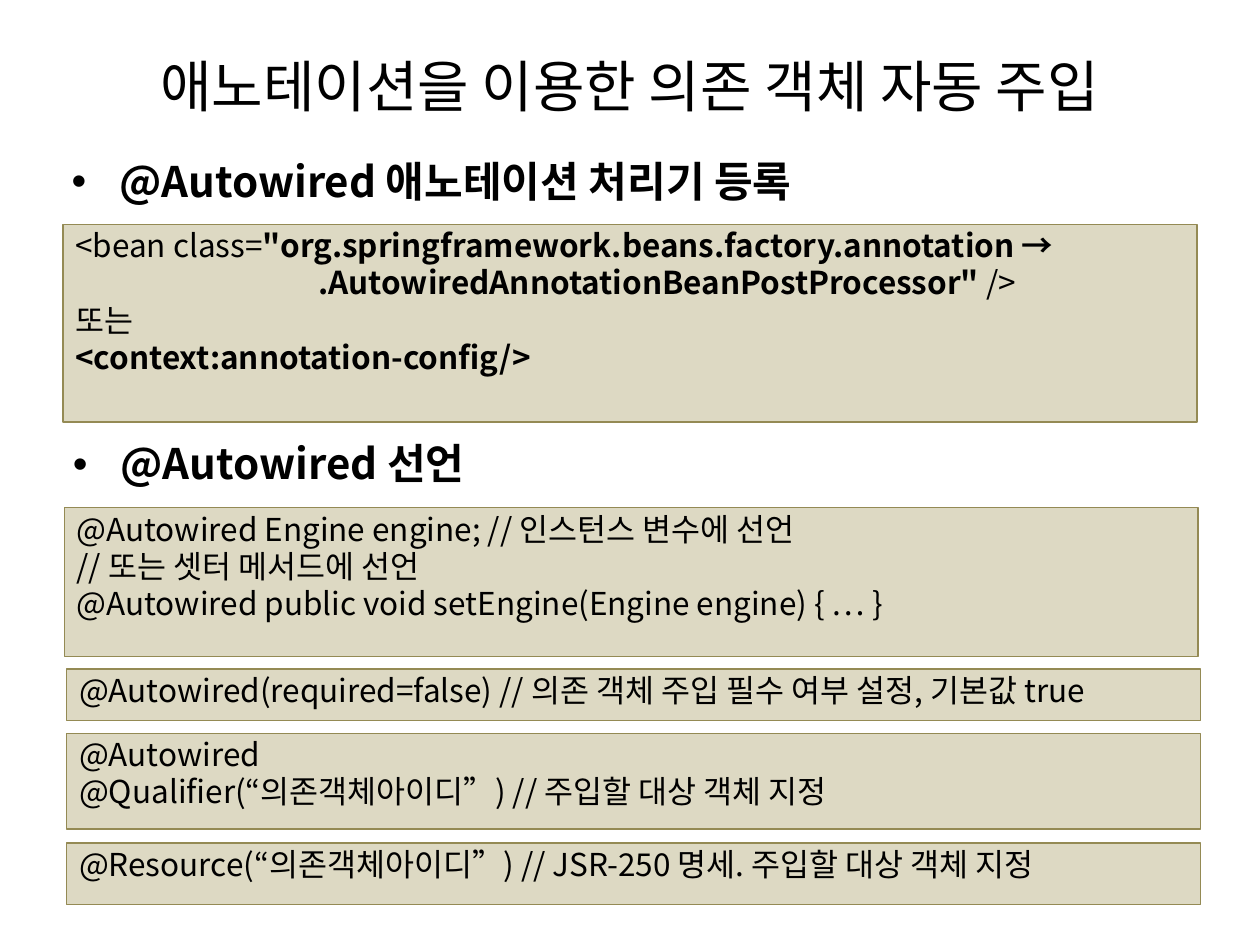
from dataclasses import dataclass

from lxml.etree import SubElement
from pptx import Presentation
from pptx.dml.color import RGBColor
from pptx.enum.shapes import MSO_SHAPE
from pptx.enum.text import MSO_ANCHOR, MSO_AUTO_SIZE, PP_ALIGN
from pptx.oxml.ns import qn
from pptx.util import Inches, Pt


@dataclass(frozen=True)
class Theme:
    """Colours, font and type sizes of the slide."""
    font: str = "Noto Sans CJK KR"
    text: str = "000000"
    fill: str = "DDD9C3"
    line: str = "948A54"
    title: int = 32
    heading: int = 24
    code: int = 18


THEME = Theme()
WIDTH = 9
HEADING_HEIGHT = 0.55

TITLE = "애노테이션을 이용한 의존 객체 자동 주입"

# (left, top, text)
HEADINGS = [
    (0.47, 1.23, "@Autowired 애노테이션 처리기 등록"),
    (0.48, 3.47, "@Autowired 선언"),
]

# (left, top, height, lines); a line is (indent, runs), a run is (text, bold)
CODE_BOXES = [
    (0.5, 1.78, 1.57, [
        (0, [("<bean class=", False),
             ('"org.springframework.beans.factory.annotation →', True)]),
        (1.93, [('.AutowiredAnnotationBeanPostProcessor"', True),
                (" />", False)]),
        (0, [("또는", False)]),
        (0, [("<context:annotation-config/>", True)]),
    ]),
    (0.51, 4.03, 1.18, [
        (0, [("@Autowired Engine engine; // 인스턴스 변수에 선언", False)]),
        (0, [("// 또는 셋터 메서드에 선언", False)]),
        (0, [("@Autowired public void setEngine(Engine engine) { … }", False)]),
    ]),
    (0.53, 5.31, 0.41, [
        (0, [("@Autowired(required=false) // 의존 객체 주입 필수 여부 설정, "
              "기본값 true", False)]),
    ]),
    (0.53, 5.82, 0.76, [
        (0, [("@Autowired", False)]),
        (0, [("@Qualifier(“의존객체아이디”) // 주입할 대상 객체 지정", False)]),
    ]),
    (0.53, 6.69, 0.49, [
        (0, [("@Resource(“의존객체아이디”) // JSR-250 명세. "
              "주입할 대상 객체 지정", False)]),
    ]),
]


def add_run(p, text, size, bold=False):
    """Add one run in the theme font, for Latin and Korean alike."""
    r = p.add_run()
    r.text = text
    r.font.size = Pt(size)
    r.font.bold = bold
    r.font.name = THEME.font
    r.font.color.rgb = RGBColor.from_string(THEME.text)
    SubElement(r.font._element, qn("a:ea"), typeface=THEME.font)


def space_lines(p, size):
    """Set tight lines with a small gap before the paragraph."""
    p.alignment = PP_ALIGN.LEFT
    p.line_spacing = 0.9
    p.space_before = Pt(size * 0.1)


def set_indent(p, left, first=0):
    """Set the left margin and first-line indent in inches."""
    pPr = p._p.get_or_add_pPr()
    pPr.set("marL", str(Inches(left)))
    pPr.set("indent", str(Inches(first)))
    return pPr


def add_title(s):
    """Place and fill the title placeholder."""
    sp = s.shapes.title
    sp.left, sp.top = Inches(0.5), Inches(0.05)
    sp.width, sp.height = Inches(WIDTH), Inches(1.25)
    tf = sp.text_frame
    tf.auto_size = MSO_AUTO_SIZE.NONE
    tf.vertical_anchor = MSO_ANCHOR.MIDDLE
    p = tf.paragraphs[0]
    p.alignment = PP_ALIGN.CENTER
    add_run(p, TITLE, THEME.title)


def add_heading(s, left, top, text):
    """Add a bulleted bold heading."""
    sp = s.shapes.add_textbox(Inches(left), Inches(top),
                              Inches(WIDTH), Inches(HEADING_HEIGHT))
    tf = sp.text_frame
    tf.word_wrap = True
    p = tf.paragraphs[0]
    space_lines(p, THEME.heading)
    pPr = set_indent(p, 0.38, -0.38)
    SubElement(pPr, qn("a:buFont"), typeface="Arial")
    SubElement(pPr, qn("a:buChar"), char="•")
    add_run(p, text, THEME.heading, True)


def add_code_box(s, left, top, height, lines):
    """Add a filled box holding lines of code."""
    sp = s.shapes.add_shape(MSO_SHAPE.RECTANGLE, Inches(left), Inches(top),
                            Inches(WIDTH), Inches(height))
    sp.shadow.inherit = False
    sp.fill.solid()
    sp.fill.fore_color.rgb = RGBColor.from_string(THEME.fill)
    sp.line.color.rgb = RGBColor.from_string(THEME.line)
    sp.line.width = Pt(0.75)
    tf = sp.text_frame
    tf.word_wrap = True
    tf.vertical_anchor = MSO_ANCHOR.TOP
    for i, (indent, runs) in enumerate(lines):
        p = tf.add_paragraph() if i else tf.paragraphs[0]
        space_lines(p, THEME.code)
        set_indent(p, indent)
        for text, bold in runs:
            add_run(p, text, THEME.code, bold)


def main():
    """Build and save the slide."""
    prs = Presentation()
    prs.slide_width, prs.slide_height = Inches(10), Inches(7.5)
    s = prs.slides.add_slide(prs.slide_layouts[5])
    add_title(s)
    for heading in HEADINGS:
        add_heading(s, *heading)
    for box in CODE_BOXES:
        add_code_box(s, *box)
    prs.save("out.pptx")


main()
